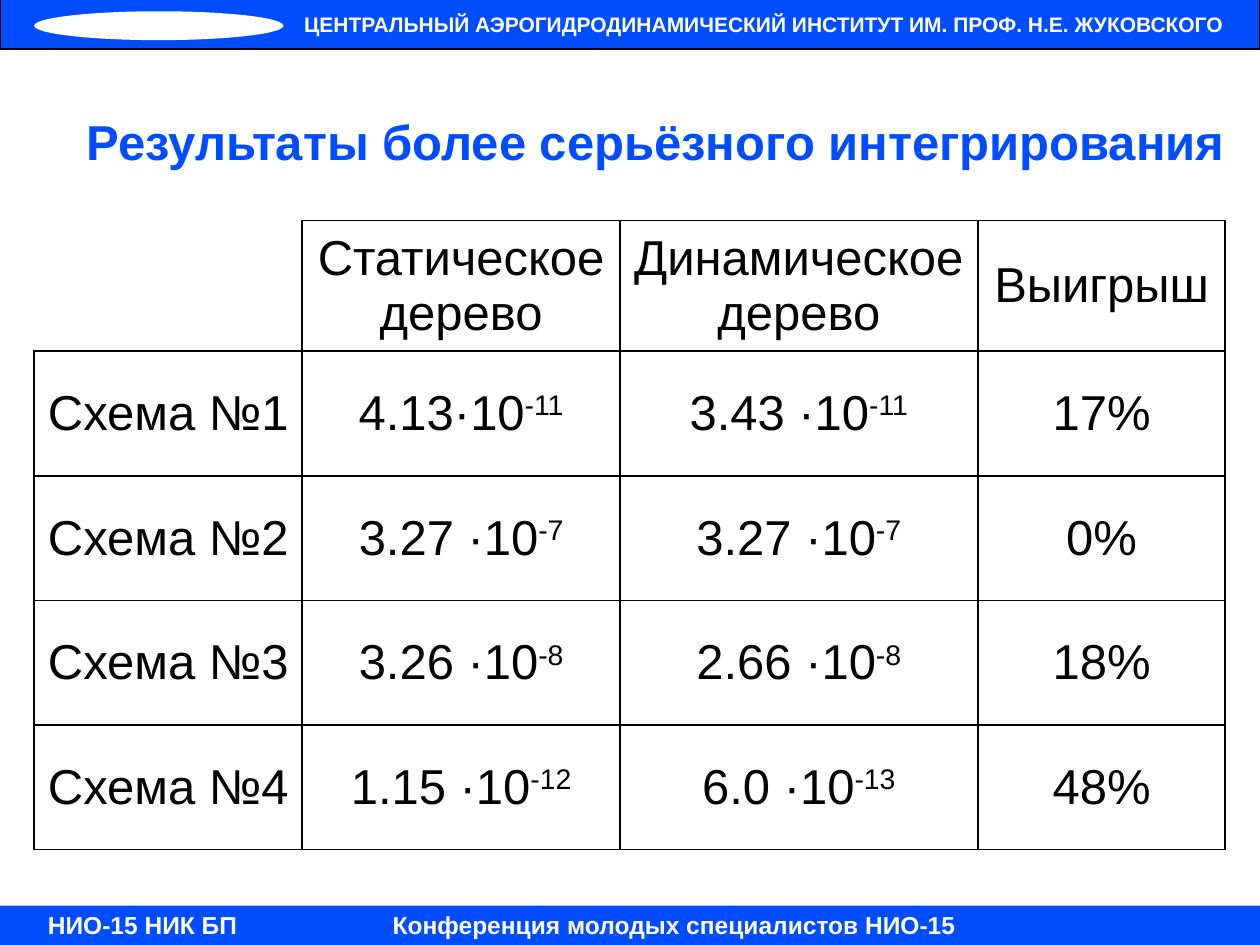
from lxml import etree
from pptx import Presentation
from pptx.dml.color import RGBColor
from pptx.enum.shapes import MSO_SHAPE
from pptx.enum.text import MSO_ANCHOR, PP_ALIGN
from pptx.oxml.ns import qn
from pptx.util import Pt

BLUE = RGBColor(0x00, 0x4C, 0xFF)
WHITE = RGBColor(0xFF, 0xFF, 0xFF)
BLACK = RGBColor(0x00, 0x00, 0x00)
RECT, OVAL = MSO_SHAPE.RECTANGLE, MSO_SHAPE.OVAL
MIDDLE = MSO_ANCHOR.MIDDLE
CENTER, RIGHT = PP_ALIGN.CENTER, PP_ALIGN.RIGHT

BAND = {"size": Pt(12), "bold": True, "color": WHITE}
FOOT = {"size": Pt(14), "bold": True, "color": WHITE}
HEAD = {"size": Pt(28), "bold": True, "color": BLUE}
BODY = {"size": Pt(28), "bold": False, "color": BLACK}

COLS = (153.25, 181.5, 204.5, 141.5)
TOP_ROW, ROW = 74.75, 71.2
ROWS = (
    ("", "Статическое дерево", "Динамическое дерево", "Выигрыш"),
    ("Схема №1", "4.13·10^-11", "3.43 ·10^-11", "17%"),
    ("Схема №2", "3.27 ·10^-7", "3.27 ·10^-7", "0%"),
    ("Схема №3", "3.26 ·10^-8", "2.66 ·10^-8", "18%"),
    ("Схема №4", "1.15 ·10^-12", "6.0 ·10^-13", "48%"),
)


def add_run(para, text, style):
    """Add a run in the given style and return it."""
    run = para.add_run()
    run.text = text
    run.font.name = "Arial"
    for key, value in style.items():
        if key == "color":
            run.font.color.rgb = value
        else:
            setattr(run.font, key, value)
    return run


def set_text(frame, text, style, align, pads, wrap=True):
    """Fill a text frame with one middle-anchored line of text."""
    sides = ("margin_left", "margin_top", "margin_right", "margin_bottom")
    for side, pad in zip(sides, pads):
        setattr(frame, side, Pt(pad))
    frame.word_wrap = wrap
    frame.vertical_anchor = MIDDLE
    para = frame.paragraphs[0]
    para.alignment = align
    add_run(para, text, style)


def add_block(slide, kind, box, color):
    """Add a plain filled shape without a line."""
    block = slide.shapes.add_shape(kind, *map(Pt, box))
    block.shadow.inherit = False
    block.fill.solid()
    block.fill.fore_color.rgb = color
    block.line.fill.background()
    return block


def add_label(slide, box, text, style, align, pads):
    """Add a text box with one line of text."""
    label = slide.shapes.add_textbox(*map(Pt, box))
    set_text(label.text_frame, text, style, align, pads)


def add_banner(slide, box):
    """Draw the top band with the emblem and the institute name."""
    left, top, _, _ = box
    band = add_block(slide, RECT, box, BLUE)
    band.line.color.rgb = BLACK
    band.line.width = Pt(0.75)
    name = "ЦЕНТРАЛЬНЫЙ АЭРОГИДРОДИНАМИЧЕСКИЙ ИНСТИТУТ ИМ. ПРОФ. Н.Е. ЖУКОВСКОГО"
    set_text(band.text_frame, name, BAND, RIGHT, (14.4, 8.6, 20.5, 8.6), False)
    add_block(slide, OVAL, (left + 19.5, top + 7.2, 142.5, 16.5), WHITE)


def add_footer(slide, box):
    """Draw the bottom band with the department and the event."""
    left, top, _, _ = box
    add_block(slide, RECT, box, BLUE)
    parts = (
        (208.5, 353.5, "Конференция молодых специалистов НИО-15"),
        (11, 141, "НИО-15 НИК БП"),
    )
    for shift, width, text in parts:
        spot = (left + shift, top - 1.5, width, 24.5)
        add_label(slide, spot, text, FOOT, CENTER, (7.2, 3.6, 7.2, 3.6))


def set_edges(cell, shown):
    """Draw the shown edges of a cell and hide the others."""
    props = cell._tc.get_or_add_tcPr()
    for side in "LRTB":
        line = etree.SubElement(props, qn(f"a:ln{side}"), w=str(Pt(1.08)))
        if side in shown:
            fill = etree.SubElement(line, qn("a:solidFill"))
            etree.SubElement(fill, qn("a:srgbClr"), val=str(BLACK))
        else:
            etree.SubElement(line, qn("a:noFill"))


def fill_cell(cell, text):
    """Write a centred value, with the part after a caret raised."""
    cell.vertical_anchor = MIDDLE
    para = cell.text_frame.paragraphs[0]
    para.alignment = CENTER
    base, _, power = text.partition("^")
    if base:
        add_run(para, base, BODY)
    if power:
        run = add_run(para, power, BODY)
        run.font._element.set("baseline", "30000")


def add_grid(slide, box):
    """Build the table of results."""
    frame = slide.shapes.add_table(len(ROWS), len(COLS), *map(Pt, box))
    table = frame.table
    table.first_row = table.horz_banding = False
    for col, width in zip(table.columns, COLS):
        col.width = Pt(width)
    for i, texts in enumerate(ROWS):
        table.rows[i].height = Pt(ROW if i else TOP_ROW)
        for j, text in enumerate(texts):
            cell = table.cell(i, j)
            set_edges(cell, "LRTB" if i or j else "RB")
            cell.fill.background()
            fill_cell(cell, text)


def main():
    """Build the slide and save it."""
    deck = Presentation()
    deck.slide_width, deck.slide_height = Pt(720), Pt(540)
    slide = deck.slides.add_slide(deck.slide_layouts[6])
    add_banner(slide, (0, -0.75, 720, 28.75))
    add_footer(slide, (0, 517.5, 720, 22.5))
    title = "Результаты более серьёзного интегрирования"
    add_label(slide, (19.5, 60.75, 680, 39.5), title, HEAD, RIGHT, (0, 0, 0, 0))
    add_grid(slide, (19.5, 126, sum(COLS), TOP_ROW + 4 * ROW))
    deck.save("out.pptx")


if __name__ == "__main__":
    main()
